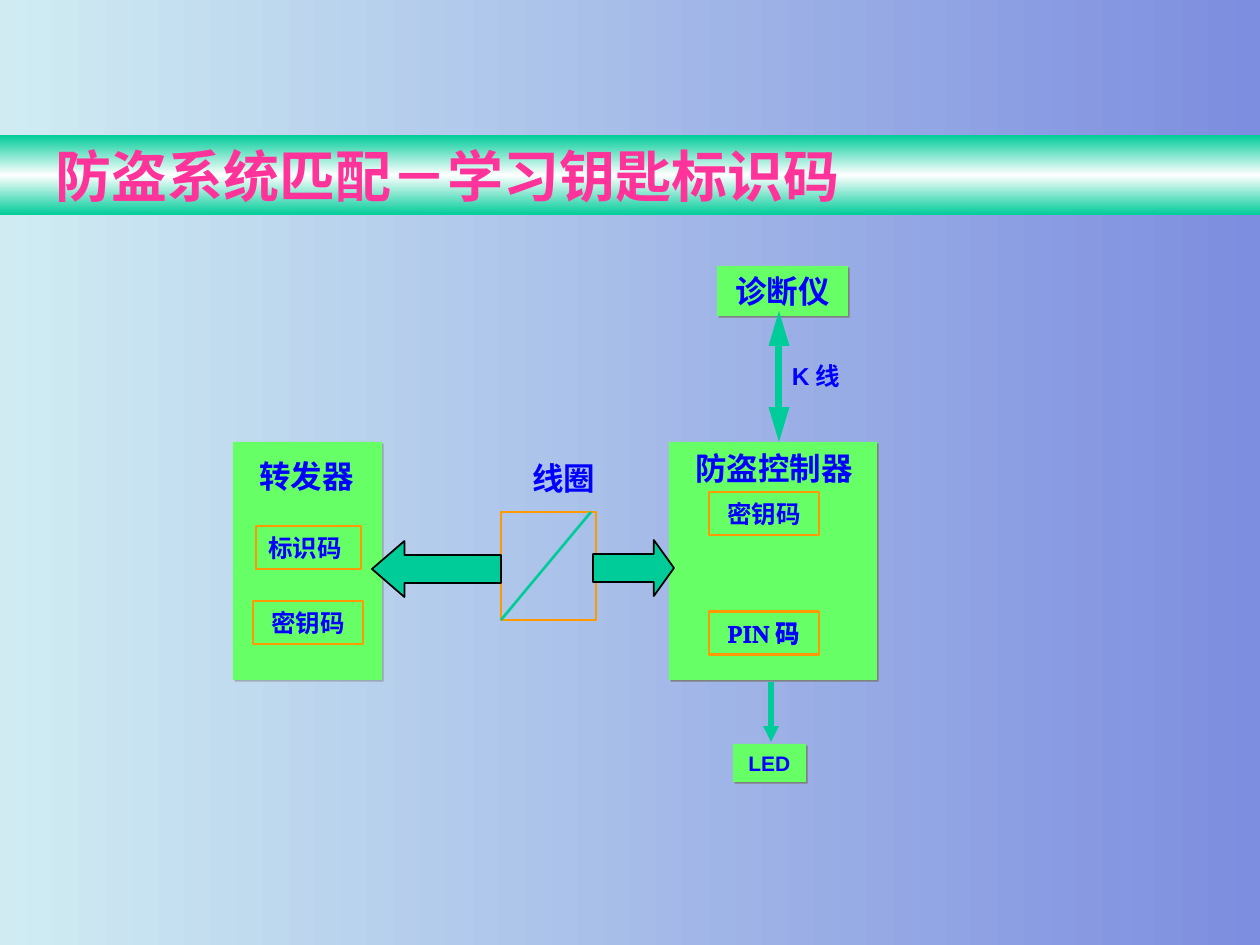
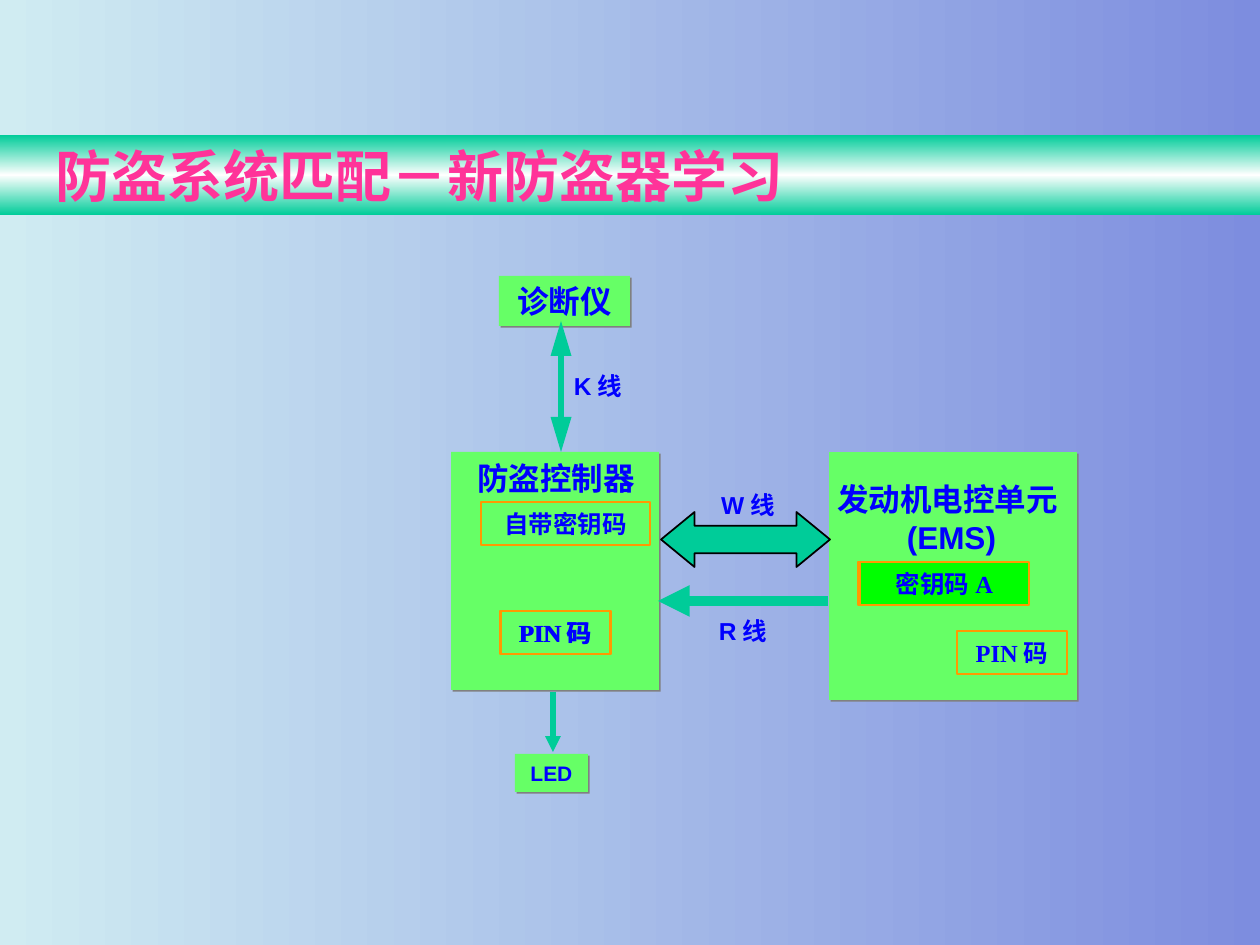
from copy import deepcopy

from lxml.etree import SubElement
from pptx import Presentation
from pptx.dml.color import RGBColor
from pptx.enum.shapes import MSO_CONNECTOR, MSO_SHAPE
from pptx.enum.text import MSO_ANCHOR, MSO_AUTO_SIZE, PP_ALIGN
from pptx.oxml.ns import qn
from pptx.util import Inches, Pt

# Shared style
WIDTH, HEIGHT = 1260, 945
SCALE = Inches(10) / WIDTH
GREEN, TEAL, ORANGE, BLUE = "66FF66", "00CC99", "FF9900", "0000FF"
PINK, BLACK, GRAY, LIME = "FF3399", "000000", "808080", "00FF00"
BACKGROUND = [(0, "7D8DDF"), (1, "D0ECF2")]
BAND = [(0, TEAL), (0.5, "FFFFFF"), (1, TEAL)]
SANS, SERIF, CHINESE = "Arial", "Times New Roman", "Noto Sans CJK SC"


def px(length):
    return round(length * SCALE)


def color(value):
    return RGBColor.from_string(value)


class Diagram:
    """Draws the diagram elements on the current slide."""

    def __init__(self, deck):
        self.deck = deck
        self.page = None

    def start(self, title):
        self.page = self.deck.slides.add_slide(self.deck.slide_layouts[5])
        self.gradient(self.page.background.fill, self.page.element, BACKGROUND, 180)
        band = self.page.shapes.title
        band.left, band.top, band.width, band.height = map(px, (0, 135, WIDTH, 80))
        self.gradient(band.fill, band.element, BAND, 90)
        self.set_text(band, title, 32, SERIF, PINK, PP_ALIGN.LEFT)
        band.text_frame.margin_left = px(55)

    def gradient(self, fill, element, stops, angle):
        fill.gradient()
        fill.gradient_angle = angle
        stop_list = element.xpath(".//a:gsLst")[0]
        while len(stop_list) < len(stops):
            stop_list.append(deepcopy(stop_list[0]))
        for stop, (position, value) in zip(fill.gradient_stops, stops):
            stop.position = position
            stop.color.rgb = color(value)

    def set_text(self, shape, text, size, font, ink=BLUE, align=PP_ALIGN.CENTER):
        frame = shape.text_frame
        frame.text = text
        frame.word_wrap = True
        frame.auto_size = MSO_AUTO_SIZE.NONE
        frame.vertical_anchor = MSO_ANCHOR.MIDDLE
        frame.margin_left = frame.margin_right = Inches(0.1)
        frame.margin_top = frame.margin_bottom = Inches(0.05)
        para = frame.paragraphs[0]
        para.alignment = align
        for span in para.runs:
            span.font.size = Pt(size)
            span.font.bold = True
            span.font.name = font
            span.font.color.rgb = color(ink)
            east_asian = SubElement(span.font._element, qn("a:ea"))
            east_asian.set("typeface", CHINESE)

    def shape(self, kind, place, fill=None, line=None, weight=1):
        shape = self.page.shapes.add_shape(kind, *map(px, place))
        shape.shadow.inherit = False
        if fill:
            shape.fill.solid()
            shape.fill.fore_color.rgb = color(fill)
        else:
            shape.fill.background()
        if line:
            shape.line.color.rgb = color(line)
            shape.line.width = Pt(weight)
        else:
            shape.line.fill.background()
        return shape

    def unit(self, place, text=None, size=18, opacity=100):
        """Green block with a hard shadow."""
        unit = self.shape(MSO_SHAPE.RECTANGLE, place, GREEN)
        effects = unit.element.spPr.find(qn("a:effectLst"))
        shadow = SubElement(effects, qn("a:outerShdw"), dist=str(Pt(1.4)), dir="2700000")
        tint = SubElement(shadow, qn("a:srgbClr"), val=GRAY)
        SubElement(tint, qn("a:alpha"), val=str(opacity * 1000))
        if text:
            self.set_text(unit, text, size, SANS)

    def code(self, place, text, fill=None, weight=0.75, font=SERIF, align=PP_ALIGN.CENTER):
        """Orange frame around the name of a stored code."""
        frame = self.shape(MSO_SHAPE.RECTANGLE, place, fill, ORANGE, weight)
        self.set_text(frame, text, 14, font, align=align)

    def label(self, place, text, size=18, align=PP_ALIGN.CENTER):
        box = self.page.shapes.add_textbox(*map(px, place))
        self.set_text(box, text, size, SANS, align=align)

    def block_arrow(self, kind, place, head):
        arrow = self.shape(kind, place, TEAL, BLACK)
        arrow.adjustments[0] = 0.5
        arrow.adjustments[1] = head

    def line(self, start, end, weight, ends=(), length="med"):
        line = self.page.shapes.add_connector(MSO_CONNECTOR.STRAIGHT, *map(px, start + end))
        line.line.color.rgb = color(TEAL)
        line.line.width = Pt(weight)
        stroke = line.element.xpath(".//a:ln")[0]
        for name in ends:
            SubElement(stroke, qn(f"a:{name}"), type="triangle", w="med", len=length)
        SubElement(line.element.spPr, qn("a:effectLst"))

    def controller(self, x, y):
        """Controller with the tester above it and the LED below."""
        self.unit((x, y, 208, 238))
        self.label((x + 14, y + 1, 190, 50), "防盗控制器", align=PP_ALIGN.LEFT)
        self.unit((x + 48, y - 176, 131, 50), "诊断仪")
        self.unit((x + 64, y + 302, 73, 38), "LED", 12)
        self.line((x + 110, y), (x + 110, y - 131), 4, ("headEnd", "tailEnd"), "lg")
        self.label((x + 89, y - 88, 116, 43), "K线", 14)
        self.line((x + 102, y + 240), (x + 102, y + 300), 3, ("tailEnd",))


def key_learning(diagram):
    diagram.start("防盗系统匹配－学习钥匙标识码")
    diagram.controller(669, 442)
    diagram.code((709, 492, 110, 43), "密钥码")
    for top in (611, 612):
        diagram.code((709, top, 110, 43), "PIN码")

    # Transponder
    diagram.unit((233, 442, 149, 238), opacity=50)
    diagram.label((247, 451, 126, 50), "转发器", align=PP_ALIGN.LEFT)
    diagram.code((256, 526, 105, 43), "标识码", weight=1, font=CHINESE, align=PP_ALIGN.LEFT)
    diagram.code((253, 601, 110, 43), "密钥码")

    # Coil
    diagram.label((501, 453, 126, 50), "线圈")
    diagram.shape(MSO_SHAPE.RECTANGLE, (501, 512, 95, 108), line=ORANGE)
    diagram.line((591, 512), (501, 620), 1.5)
    diagram.block_arrow(MSO_SHAPE.RIGHT_ARROW, (593, 540, 81, 56), 0.36)
    diagram.block_arrow(MSO_SHAPE.LEFT_ARROW, (372, 541, 129, 56), 0.58)


def controller_learning(diagram):
    diagram.start("防盗系统匹配－新防盗器学习")
    diagram.controller(451, 452)
    diagram.code((481, 502, 169, 43), "自带密钥码")
    for left in (501, 500):
        diagram.code((left, 611, 110, 43), "PIN码")

    # Engine control unit
    diagram.unit((829, 452, 248, 248))
    diagram.label((819, 474, 265, 88), "发动机电控单元(EMS)")
    for left in (858, 860):
        diagram.code((left, 562, 169, 43), "密钥码A", LIME)
    diagram.code((957, 631, 110, 43), "PIN码")

    # Links between the two units
    diagram.block_arrow(MSO_SHAPE.LEFT_RIGHT_ARROW, (661, 512, 169, 55), 0.61)
    diagram.label((690, 483, 116, 43), "W线", 14)
    diagram.line((828, 601), (658, 601), 6, ("tailEnd",))
    diagram.label((685, 609, 116, 43), "R线", 14)


def main():
    deck = Presentation()
    deck.slide_width, deck.slide_height = px(WIDTH), px(HEIGHT)
    diagram = Diagram(deck)
    key_learning(diagram)
    controller_learning(diagram)
    deck.save("out.pptx")


if __name__ == "__main__":
    main()
